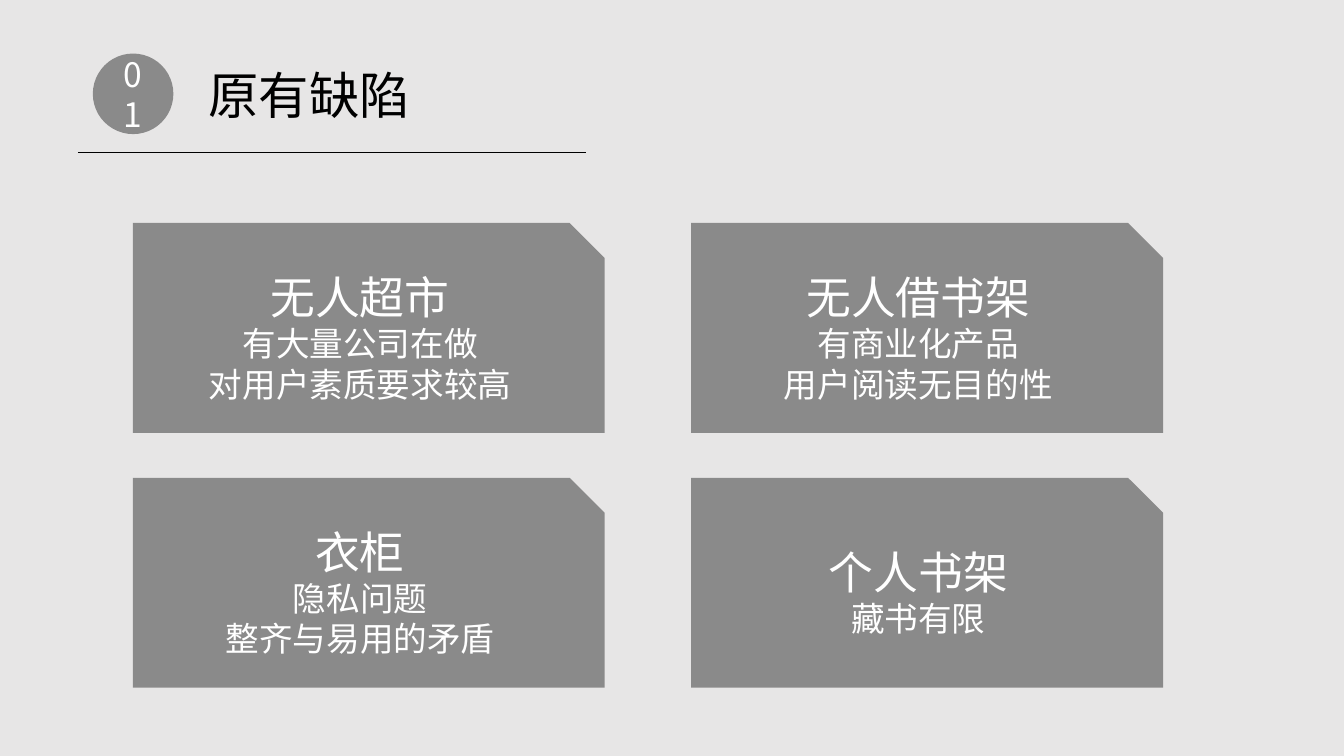
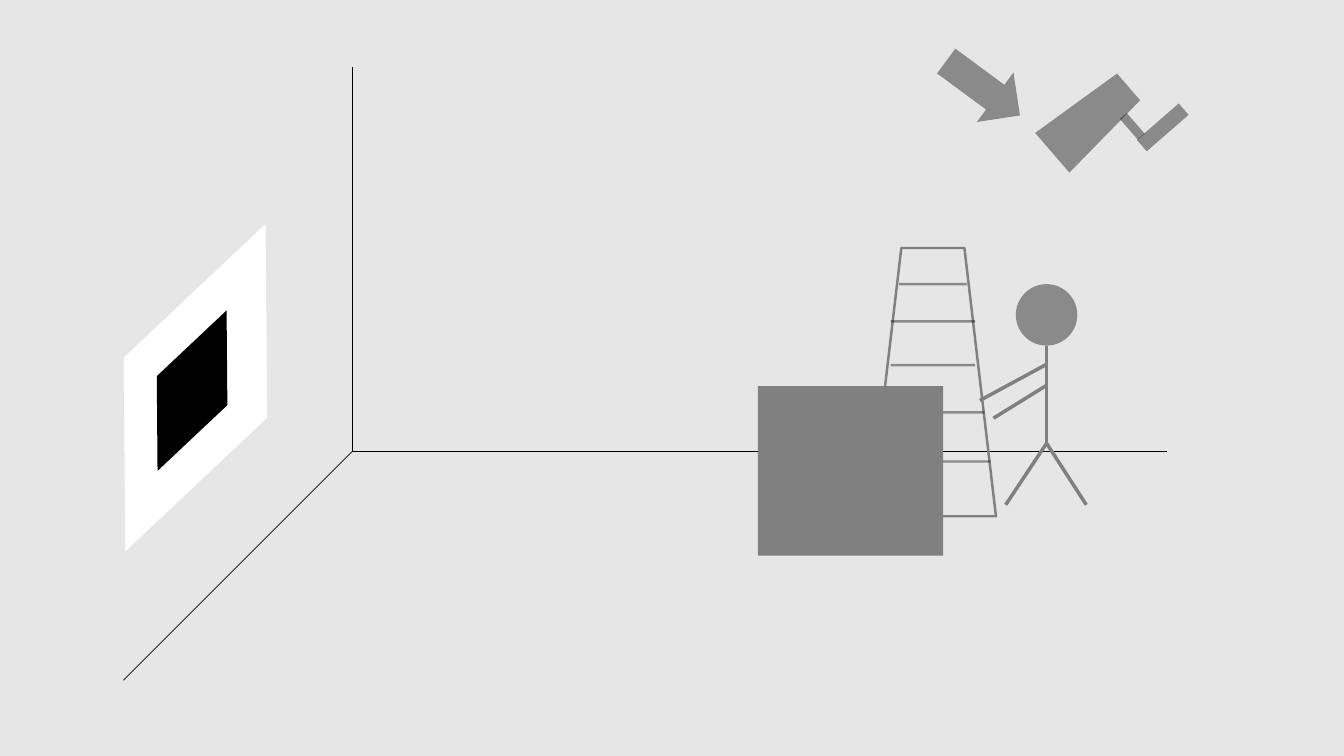
from lxml.etree import SubElement
from pptx import Presentation
from pptx.dml.color import RGBColor
from pptx.enum.shapes import MSO_CONNECTOR, MSO_SHAPE
from pptx.enum.text import MSO_ANCHOR, MSO_AUTO_SIZE, PP_ALIGN
from pptx.oxml.ns import qn
from pptx.util import Cm, Pt

FONT = "Noto Sans CJK SC"
BLACK = RGBColor(0x00, 0x00, 0x00)
WHITE = RGBColor(0xFF, 0xFF, 0xFF)
GREY = RGBColor(0x80, 0x80, 0x80)
PAPER = RGBColor(0xE7, 0xE6, 0xE6)
VEIL = 40  # opacity of the translucent black, in percent

TITLE_ONLY, BLANK = 5, 6

CARDS = [
    ("无人超市", "有大量公司在做", "对用户素质要求较高"),
    ("无人借书架", "有商业化产品", "用户阅读无目的性"),
    ("衣柜", "隐私问题", "整齐与易用的矛盾"),
    ("个人书架", "藏书有限"),
]


def set_opacity(sp, percent):
    for clr in sp.element.spPr.iter(qn("a:srgbClr")):
        SubElement(clr, qn("a:alpha")).set("val", str(percent * 1000))


def add_text(tf, text, size, color=WHITE, align=PP_ALIGN.CENTER, first=False):
    p = tf.paragraphs[0] if first else tf.add_paragraph()
    p.alignment = align
    r = p.add_run()
    r.text = text
    r.font.size = Pt(size)
    r.font.name = FONT
    r.font.color.rgb = color
    SubElement(r.font._element, qn("a:ea")).set("typeface", FONT)


def add_shape(shapes, kind, left, top, width, height, fill=BLACK, opacity=None,
              outline=None, weight=1.75, rotation=0, adjust=None):
    """Add a preset shape, with lengths in cm; fill or outline may be None."""
    sp = shapes.add_shape(kind, Cm(left), Cm(top), Cm(width), Cm(height))
    sp.shadow.inherit = False
    sp.rotation = rotation
    if adjust is not None:
        sp.adjustments[0] = adjust
    if fill is None:
        sp.fill.background()
    else:
        sp.fill.solid()
        sp.fill.fore_color.rgb = fill
    if outline is None:
        sp.line.fill.background()
    else:
        sp.line.color.rgb = outline
        sp.line.width = Pt(weight)
    if opacity:
        set_opacity(sp, opacity)
    return sp


def add_line(shapes, x1, y1, x2, y2, color=BLACK, weight=1, opacity=None):
    line = shapes.add_connector(MSO_CONNECTOR.STRAIGHT, Cm(x1), Cm(y1), Cm(x2), Cm(y2))
    line.line.color.rgb = color
    line.line.width = Pt(weight)
    SubElement(line.element.spPr, qn("a:effectLst"))
    if opacity:
        set_opacity(line, opacity)


def add_header(slide, number, title, left, top):
    badge = add_shape(slide.shapes, MSO_SHAPE.OVAL, left + 0.38, top, 2.03, 2.03,
                      opacity=VEIL)
    badge.text_frame.word_wrap = True
    badge.text_frame.vertical_anchor = MSO_ANCHOR.MIDDLE
    add_text(badge.text_frame, number, 24, first=True)

    sp = slide.shapes.title
    sp.left, sp.top, sp.width, sp.height = Cm(left + 3.04), Cm(top + 0.12), Cm(5.64), Cm(1.8)
    tf = sp.text_frame
    tf.word_wrap = False
    tf.auto_size = MSO_AUTO_SIZE.NONE
    tf.vertical_anchor = MSO_ANCHOR.MIDDLE
    add_text(tf, title, 36, BLACK, PP_ALIGN.LEFT, first=True)

    add_line(slide.shapes, left, top + 2.49, left + 12.8, top + 2.49)


def add_card(slide, lines, left, top, width, height):
    card = add_shape(slide.shapes, MSO_SHAPE.SNIP_1_RECTANGLE, left, top, width, height,
                     opacity=VEIL)
    tf = card.text_frame
    tf.word_wrap = True
    tf.vertical_anchor = MSO_ANCHOR.MIDDLE
    for i, line in enumerate(lines):
        add_text(tf, line, 24 if i else 32, first=i == 0)


def add_card_grid(slide, cards, left, top, columns=2):
    width, height, gap_x, gap_y = 11.89, 5.29, 2.18, 1.13
    for i, lines in enumerate(cards):
        row, col = divmod(i, columns)
        add_card(slide, lines, left + col * (width + gap_x), top + row * (height + gap_y),
                 width, height)


def add_room(slide, x, y):
    """Draw the wall edges that meet in the corner at x, y."""
    shapes = slide.shapes.add_group_shape().shapes
    for dx, dy in [(0, -9.68), (20.53, 0), (-5.76, 5.76)]:
        add_line(shapes, x, y, x + dx, y + dy, weight=0.5)


def add_camera(slide, left, top):
    for kind, dx, dy, width, height, rotation, adjust in [
        (MSO_SHAPE.TRAPEZOID, 0, 0, 1.32, 2.54, 49.2, 0.163),
        (MSO_SHAPE.RECTANGLE, 1.78, 1.27, 1.4, 0.38, 139, None),
        (MSO_SHAPE.RECTANGLE, 1.37, 1.32, 0.69, 0.23, 49, None),
    ]:
        add_shape(slide.shapes, kind, left + dx, top + dy, width, height,
                  opacity=VEIL, rotation=rotation, adjust=adjust)


def add_wall_panel(slide, left, top, width, height, fill):
    add_shape(slide.shapes, MSO_SHAPE.PARALLELOGRAM, left, top, width, height,
              fill=fill, rotation=136.7, adjust=0.927)


def add_ladder(slide, left, top):
    shapes = slide.shapes.add_group_shape().shapes
    width = 3.18
    add_shape(shapes, MSO_SHAPE.TRAPEZOID, left, top, width, 6.76, fill=None, outline=GREY)
    middle = left + width / 2
    for dy, rung in [(0.91, 1.7), (1.85, 2.13), (2.95, 2.13), (4.14, 2.59), (5.38, 2.9)]:
        add_line(shapes, middle - rung / 2, top + dy, middle + rung / 2, top + dy,
                 weight=1.75, opacity=VEIL)


def add_person(slide, left, top):
    shapes = slide.shapes.add_group_shape().shapes
    head = 1.55
    add_shape(shapes, MSO_SHAPE.OVAL, left, top, head, head, opacity=VEIL)
    x = left + head / 2
    hip = top + 4.01
    limbs = [
        (top + head, 0, hip),
        (hip, -1.03, top + 5.56),
        (hip, 1.0, top + 5.56),
        (top + 2.02, -1.68, top + 2.93),
        (top + 2.55, -1.34, top + 3.38),
    ]
    for start, reach, end in limbs:
        add_line(shapes, x, start, x + reach, end, color=GREY, weight=2.5)


def build_defects_slide(prs):
    slide = prs.slides.add_slide(prs.slide_layouts[TITLE_ONLY])
    add_header(slide, "01", "原有缺陷", 1.96, 1.35)
    add_card_grid(slide, CARDS, 3.35, 5.62)


def build_scene_slide(prs):
    slide = prs.slides.add_slide(prs.slide_layouts[BLANK])
    add_room(slide, 8.87, 11.38)
    add_camera(slide, 26.82, 1.75)
    add_wall_panel(slide, 0.81, 7.98, 8.23, 3.58, WHITE)
    add_ladder(slide, 21.92, 6.25)
    add_shape(slide.shapes, MSO_SHAPE.RECTANGLE, 19.1, 9.73, 4.67, 4.27, fill=GREY)
    add_wall_panel(slide, 2.82, 8.97, 4.04, 1.75, BLACK)
    add_shape(slide.shapes, MSO_SHAPE.RIGHT_ARROW, 23.62, 1.45, 2.31, 1.55,
              opacity=VEIL, rotation=36.4)
    add_person(slide, 25.6, 7.16)


def main():
    prs = Presentation()
    prs.slide_width, prs.slide_height = Cm(33.87), Cm(19.05)
    fill = prs.slide_master.background.fill
    fill.solid()
    fill.fore_color.rgb = PAPER
    build_defects_slide(prs)
    build_scene_slide(prs)
    prs.save("out.pptx")


if __name__ == "__main__":
    main()
